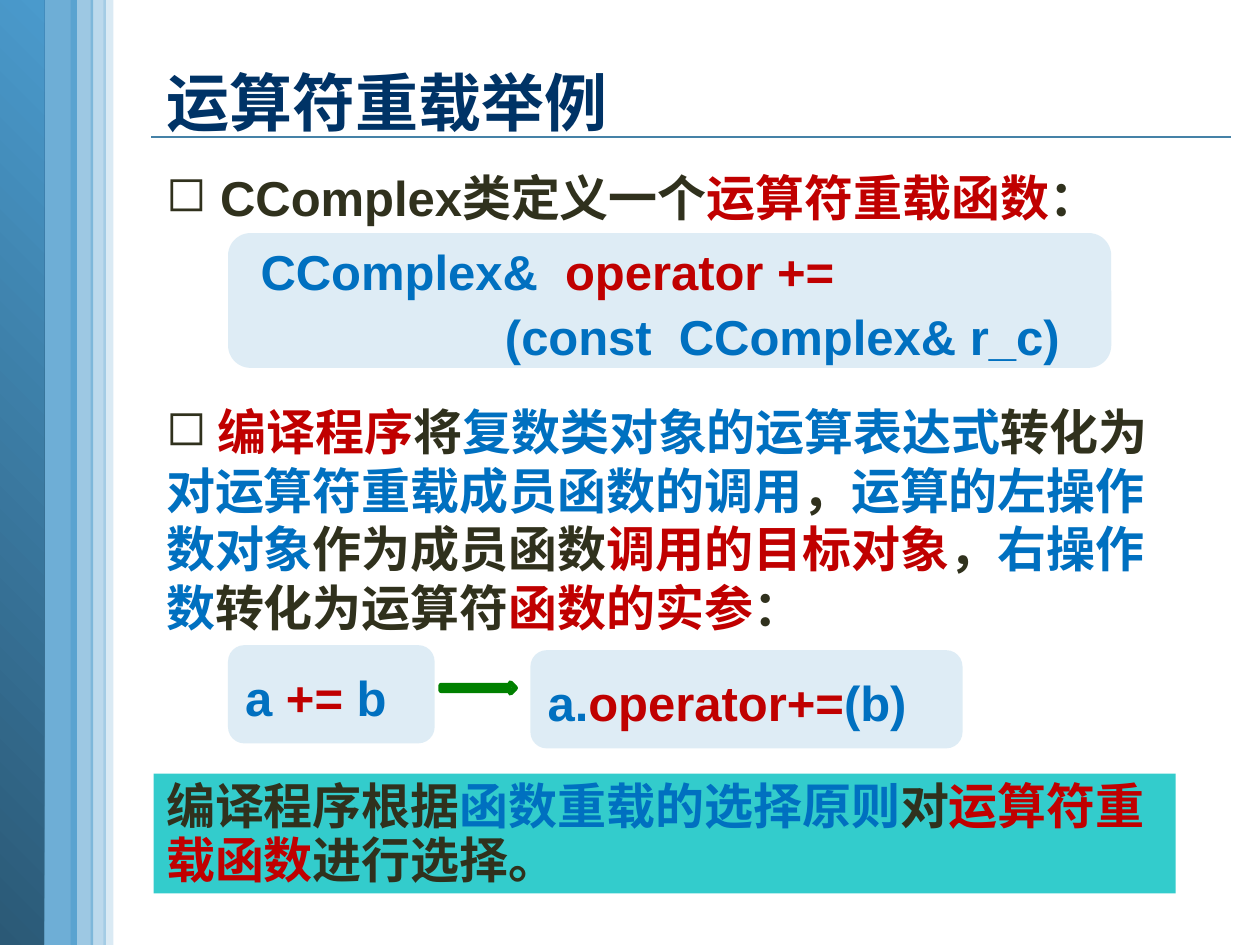
from lxml.etree import SubElement
from pptx import Presentation
from pptx.dml.color import RGBColor
from pptx.enum.shapes import MSO_CONNECTOR, MSO_SHAPE
from pptx.enum.text import MSO_ANCHOR, MSO_AUTO_SIZE, PP_ALIGN
from pptx.oxml.ns import qn
from pptx.util import Inches, Pt

LATIN = "Arial"
CJK = "Noto Sans CJK SC"
DARK, RED, BLUE = "30311D", "C00000", "0070C0"
SKY, PALE = "4A9ACC", "92C2E0"

STRIPES = [
    (0.3, 0, 0.31, 7.53, 80),
    (0.82, -0.02, 0.08, 7.52, 20),
    (0.56, 0, 0.18, 7.51, 54),
    (0.72, 0, 0.12, 7.52, 37),
]
DEFINITION = [[(" CComplex类定义一个", DARK), ("运算符重载函数", RED), ("：", DARK)]]
CONVERSION = [[
    (" ", DARK), ("编译程序", RED), ("将", DARK),
    ("复数类对象的运算表达式", BLUE), ("转化为", DARK),
    ("对运算符重载成员函数的调用", BLUE), ("，", DARK),
    ("运算的左操作数对象", BLUE), ("作为成员函数", DARK),
    ("调用的目标对象", RED), ("，", DARK), ("右操作数", BLUE),
    ("转化为运算符", DARK), ("函数的实参", RED), ("：", DARK),
]]
PROTOTYPE = [
    [(" CComplex&  ", BLUE), ("operator +=", RED)],
    [("                   (const  CComplex& r_c)", BLUE)],
]
EXPRESSION = [[("a ", BLUE), ("+=", RED), (" b", BLUE)]]
CALL = [[("a.", BLUE), ("operator+=", RED), ("(b)", BLUE)]]
SELECTION = [
    [("编译程序根据", DARK), ("函数重载的选择原则", BLUE), ("对", DARK), ("运算符重", RED)],
    [("载函数", RED), ("进行选择。", DARK)],
]


def color(value):
    """Turn a hex string into a colour."""
    return RGBColor.from_string(value)


def add_span(para, text, shade, size=28, latin=LATIN):
    """Add one bold run with Latin and East Asian fonts."""
    span = para.add_run()
    span.text = text
    span.font.size = Pt(size)
    span.font.bold = True
    span.font.color.rgb = color(shade)
    span.font.name = latin
    SubElement(span.font._element, qn("a:ea"), typeface=CJK)


def add_bullet(para):
    """Give a paragraph a square bullet without a hanging indent."""
    properties = para._p.get_or_add_pPr()
    properties.set("marL", "0")
    properties.set("indent", "0")
    SubElement(properties, qn("a:buChar"), char="◻")


def write(frame, lines, spacing, anchor=MSO_ANCHOR.TOP, bullet=False):
    """Fill a text frame with paragraphs of coloured runs."""
    frame.word_wrap = True
    frame.vertical_anchor = anchor
    for index, line in enumerate(lines):
        para = frame.paragraphs[0] if index == 0 else frame.add_paragraph()
        para.alignment = PP_ALIGN.LEFT
        para.line_spacing = Pt(spacing)
        if bullet:
            add_bullet(para)
        for text, shade in line:
            add_span(para, text, shade)


def add_block(shapes, kind, place, fill, opacity=100):
    """Add a plain shape with a solid, possibly transparent fill."""
    block = shapes.add_shape(kind, *map(Inches, place))
    block.shadow.inherit = False
    block.line.fill.background()
    block.fill.solid()
    block.fill.fore_color.rgb = color(fill)
    if opacity < 100:
        tint = next(block._element.spPr.iter(qn("a:srgbClr")))
        SubElement(tint, qn("a:alpha"), val=str(opacity * 1000))
    return block


def add_side_band(page):
    """Draw the striped band and its gradient edge on the left."""
    for *place, opacity in STRIPES:
        add_block(page.shapes, MSO_SHAPE.RECTANGLE, place, SKY, opacity)
    edge = add_block(page.shapes, MSO_SHAPE.RECTANGLE, (-0.01, 0, 0.36, 7.5), SKY)
    edge.fill.gradient()
    edge.fill.gradient_angle = 45
    for stop, shade in zip(edge.fill.gradient_stops, ("2B5976", SKY)):
        stop.color.rgb = color(shade)


def add_title(page):
    """Place the title and the rule below it."""
    rule = page.shapes.add_connector(
        MSO_CONNECTOR.STRAIGHT, Inches(1.2), Inches(1.09), Inches(9.77), Inches(1.09))
    rule.line.color.rgb = color("4582A7")
    rule.line.width = Pt(1)
    SubElement(rule._element.spPr, qn("a:effectLst"))
    title = page.shapes.title
    title.left, title.top = Inches(1.22), Inches(0.22)
    title.width, title.height = Inches(8.28), Inches(0.78)
    frame = title.text_frame
    frame.auto_size = MSO_AUTO_SIZE.NONE
    frame.vertical_anchor = MSO_ANCHOR.TOP
    para = frame.paragraphs[0]
    para.alignment = PP_ALIGN.LEFT
    para.line_spacing = Pt(60)
    add_span(para, "运算符重载举例", "003366", 36, CJK)


def add_point(page, place, lines):
    """Add a bulleted text box."""
    box = page.shapes.add_textbox(*map(Inches, place))
    box.text_frame.margin_top = Inches(0.08)
    write(box.text_frame, lines, 33.5, bullet=True)


def add_code(shapes, place, lines):
    """Add a rounded panel of code."""
    panel = add_block(shapes, MSO_SHAPE.ROUNDED_RECTANGLE, place, PALE, 30)
    write(panel.text_frame, lines, 37, MSO_ANCHOR.MIDDLE)


def add_translation(page):
    """Group the expression, the arrow and the resulting call."""
    shapes = page.shapes.add_group_shape().shapes
    add_code(shapes, (4.21, 5.16, 3.43, 0.78), CALL)
    add_code(shapes, (1.81, 5.12, 1.64, 0.78), EXPRESSION)
    arrow = add_block(shapes, MSO_SHAPE.RIGHT_ARROW, (3.5, 5.42, 0.59, 0.08), "E1FFF7")
    arrow.line.color.rgb = color("008000")
    arrow.line.width = Pt(3)


def add_conclusion(page):
    """Add the highlighted closing statement."""
    banner = add_block(page.shapes, MSO_SHAPE.RECTANGLE, (1.22, 6.14, 8.11, 0.95), "33CCCC")
    write(banner.text_frame, SELECTION, 31)


def main():
    """Build and save the slide."""
    deck = Presentation()
    deck.slide_width, deck.slide_height = Inches(10), Inches(7.5)
    page = deck.slides.add_slide(deck.slide_layouts[5])
    add_side_band(page)
    add_title(page)
    add_point(page, (1.22, 1.25, 8.27, 0.57), DEFINITION)
    add_point(page, (1.22, 3.11, 8.28, 1.99), CONVERSION)
    add_code(page.shapes, (1.81, 1.85, 7.01, 1.07), PROTOTYPE)
    add_translation(page)
    add_conclusion(page)
    deck.save("out.pptx")


if __name__ == "__main__":
    main()
